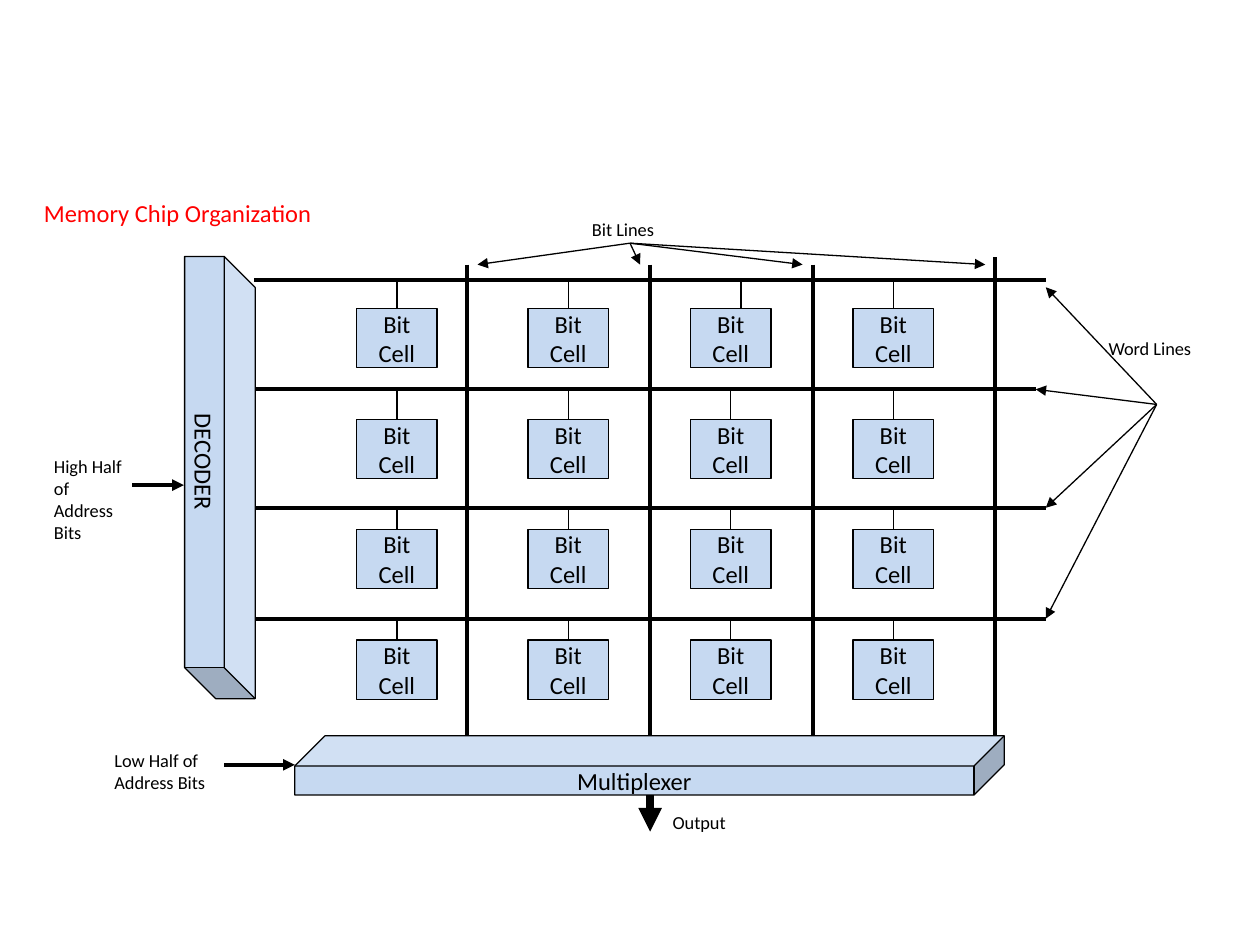
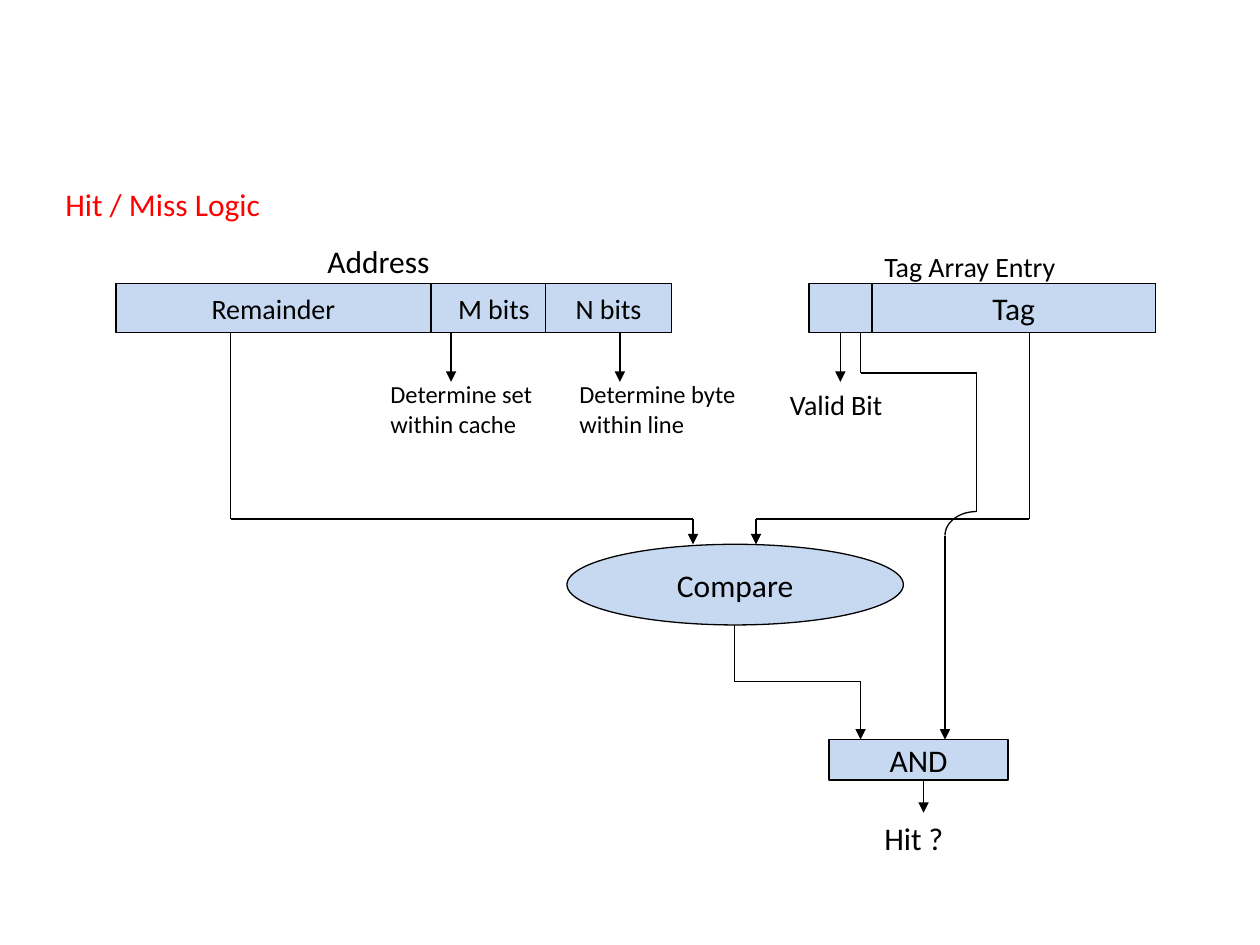
import dataclasses
import itertools
import math

import lxml.etree
import pptx
import pptx.dml.color
import pptx.enum.shapes
import pptx.enum.text
import pptx.oxml.ns
import pptx.util

EMU_PER_PX = 9144  # 100 px to the inch
PAGE_SIZE = (1000, 750)
SHAPES = pptx.enum.shapes.MSO_SHAPE


@dataclasses.dataclass(frozen=True)
class Theme:
    font: str = "Calibri"
    ink: str = "000000"
    title: str = "FF0000"
    block: str = "C6D9F1"
    note_size: float = 10.5
    small_size: float = 14
    field_size: float = 16
    large_size: float = 18
    thin: float = 0.75
    thick: float = 2.25
    heavy: float = 4.5


THEME = Theme()


def px(length):
    return pptx.util.Emu(round(length * EMU_PER_PX))


def colour(code):
    return pptx.dml.color.RGBColor.from_string(code)


def style_line(line, weight):
    line.color.rgb = colour(THEME.ink)
    line.width = pptx.util.Pt(weight)


def write(frame, text, size, code):
    frame.text = text
    for para in frame.paragraphs:
        for span in para.runs:
            span.font.name = THEME.font
            span.font.size = pptx.util.Pt(size)
            span.font.color.rgb = colour(code)


def add_label(page, left, top, width, height, text, size=THEME.note_size, code=THEME.ink):
    box = page.shapes.add_textbox(px(left), px(top), px(width), px(height))
    frame = box.text_frame
    frame.word_wrap = True
    frame.auto_size = pptx.enum.text.MSO_AUTO_SIZE.SHAPE_TO_FIT_TEXT
    write(frame, text, size, code)


def add_title(page, left, top, width, height, text, size):
    add_label(page, left, top, width, height, text, size, THEME.title)


def add_block(page, left, top, width, height, text="", size=THEME.small_size,
              kind=SHAPES.RECTANGLE):
    """Add a filled, outlined shape with centred text."""
    block = page.shapes.add_shape(kind, px(left), px(top), px(width), px(height))
    block.shadow.inherit = False
    block.fill.solid()
    block.fill.fore_color.rgb = colour(THEME.block)
    style_line(block.line, THEME.thin)
    frame = block.text_frame
    frame.word_wrap = False
    frame.vertical_anchor = pptx.enum.text.MSO_ANCHOR.MIDDLE
    write(frame, text, size, THEME.ink)
    for para in frame.paragraphs:
        para.alignment = pptx.enum.text.PP_ALIGN.CENTER
    return block


def add_cube(page, left, top, width, height, text, depth):
    cube = add_block(page, left, top, width, height, text, kind=SHAPES.CUBE)
    cube.adjustments[0] = depth
    return cube


def add_line(page, start, end, weight=THEME.thin, arrow=False):
    line = page.shapes.add_connector(
        pptx.enum.shapes.MSO_CONNECTOR.STRAIGHT, *map(px, start + end))
    style_line(line.line, weight)
    qn = pptx.oxml.ns.qn
    if arrow:
        lxml.etree.SubElement(line.line._get_or_add_ln(), qn("a:tailEnd"), type="triangle")
    lxml.etree.SubElement(line._element.spPr, qn("a:effectLst"))


def add_route(page, *points, arrow=True):
    """Join the points with straight lines, with an arrowhead at the last one."""
    legs = list(itertools.pairwise(points))
    for number, (start, end) in enumerate(legs, 1):
        add_line(page, start, end, arrow=arrow and number == len(legs))


def add_fan(page, origin, targets):
    for target in targets:
        add_line(page, origin, target, arrow=True)


def add_quarter_curve(page, left, top, width, height, steps=16):
    """Draw the upper left quarter of an ellipse as an open outline."""
    angles = [math.pi / 2 * step / steps for step in range(steps + 1)]
    points = [(px(left + width * (1 - math.sin(angle))),
               px(top + height * (1 - math.cos(angle)))) for angle in angles]
    builder = page.shapes.build_freeform(*points[0])
    builder.add_line_segments(points[1:], close=False)
    curve = builder.convert_to_shape()
    curve.shadow.inherit = False
    curve.fill.background()
    style_line(curve.line, THEME.thin)


def build_memory_chip(page):
    cell_width, cell_height = 64, 47
    cell_lefts = (283, 419, 548, 677)
    cell_tops = (245, 333, 420, 508)
    word_lines = ((222, 830), (309, 822), (403, 830), (491, 830))
    bit_lines = ((371, 210), (516, 210), (645, 210), (790, 204))

    for top, (word_y, word_end) in zip(cell_tops, word_lines):
        add_line(page, (202, word_y), (word_end, word_y), THEME.thick)
        for left in cell_lefts:
            add_block(page, left, top, cell_width, cell_height, "Bit\nCell")
            stem_x = left + cell_width // 2
            if (left, top) == (cell_lefts[2], cell_tops[0]):
                stem_x += 8
            add_line(page, (stem_x, top), (stem_x, word_y))
    for bit_x, bit_top in bit_lines:
        add_line(page, (bit_x, bit_top), (bit_x, 584), THEME.thick)

    decoder = add_cube(page, -1, 351, 351, 56, "DECODER", 0.44)
    decoder.rotation = 90
    add_cube(page, 234, 584, 563, 47, "Multiplexer", 0.51)

    add_fan(page, (918, 321), [(830, 228), (822, 309), (830, 403), (830, 491)])
    add_fan(page, (500, 193), [(x, 210) for x in (379, 508, 637, 782)])
    add_line(page, (105, 385), (146, 385), THEME.thick, arrow=True)
    add_line(page, (178, 607), (234, 607), THEME.thick, arrow=True)
    add_line(page, (516, 631), (516, 660), THEME.heavy, arrow=True)

    add_label(page, 870, 263, 97, 28, "Word Lines")
    add_label(page, 460, 168, 97, 28, "Bit Lines")
    add_label(page, 33, 356, 80, 81, "High Half of Address Bits")
    add_label(page, 81, 590, 105, 45, "Low Half of Address Bits")
    add_label(page, 524, 639, 97, 28, "Output")
    add_title(page, 25, 152, 427, 34, "Memory Chip Organization", THEME.small_size)


def build_hit_logic(page):
    field_top, field_height = 225, 39
    field_bottom = field_top + field_height
    small, medium, large = THEME.small_size, THEME.field_size, THEME.large_size

    add_title(page, 42, 142, 267, 39, "Hit / Miss Logic", large)
    for left, width, text, size in (
            (92, 250, "Remainder", medium), (342, 100, "M bits", medium),
            (433, 100, "N bits", medium), (642, 50, "", medium), (692, 225, "Tag", large)):
        add_block(page, left, field_top, width, field_height, text, size)
    add_block(page, 450, 432, 267, 64, "Compare", large, SHAPES.OVAL)
    add_block(page, 658, 587, 142, 32, "AND", large)

    add_label(page, 250, 187, 175, 39, "Address", large)
    add_label(page, 692, 193, 200, 28, "Tag Array Entry", medium)
    add_label(page, 300, 296, 142, 44, "Determine set within cache", small)
    add_label(page, 450, 296, 158, 44, "Determine byte within line", small)
    add_label(page, 617, 303, 108, 28, "Valid Bit", medium)
    add_label(page, 692, 645, 92, 39, "Hit ?", large)

    for x in (358, 492, 667):
        add_route(page, (x, field_bottom), (x, 303))
    for source_x, compare_x in ((183, 550), (817, 600)):
        add_route(page, (source_x, field_bottom), (source_x, 412),
                  (compare_x, 412), (compare_x, 432))
    add_route(page, (583, 496), (583, 541), (683, 541), (683, 587))
    add_route(page, (683, field_bottom), (683, 296), (775, 296), (775, 406), arrow=False)
    add_quarter_curve(page, 750, 406, 25, 19)
    add_route(page, (750, 425), (750, 587))
    add_route(page, (733, 619), (733, 645))


def main():
    deck = pptx.Presentation()
    deck.slide_width, deck.slide_height = map(px, PAGE_SIZE)
    for build in (build_memory_chip, build_hit_logic):
        build(deck.slides.add_slide(deck.slide_layouts[6]))
    deck.save("out.pptx")


if __name__ == "__main__":
    main()
